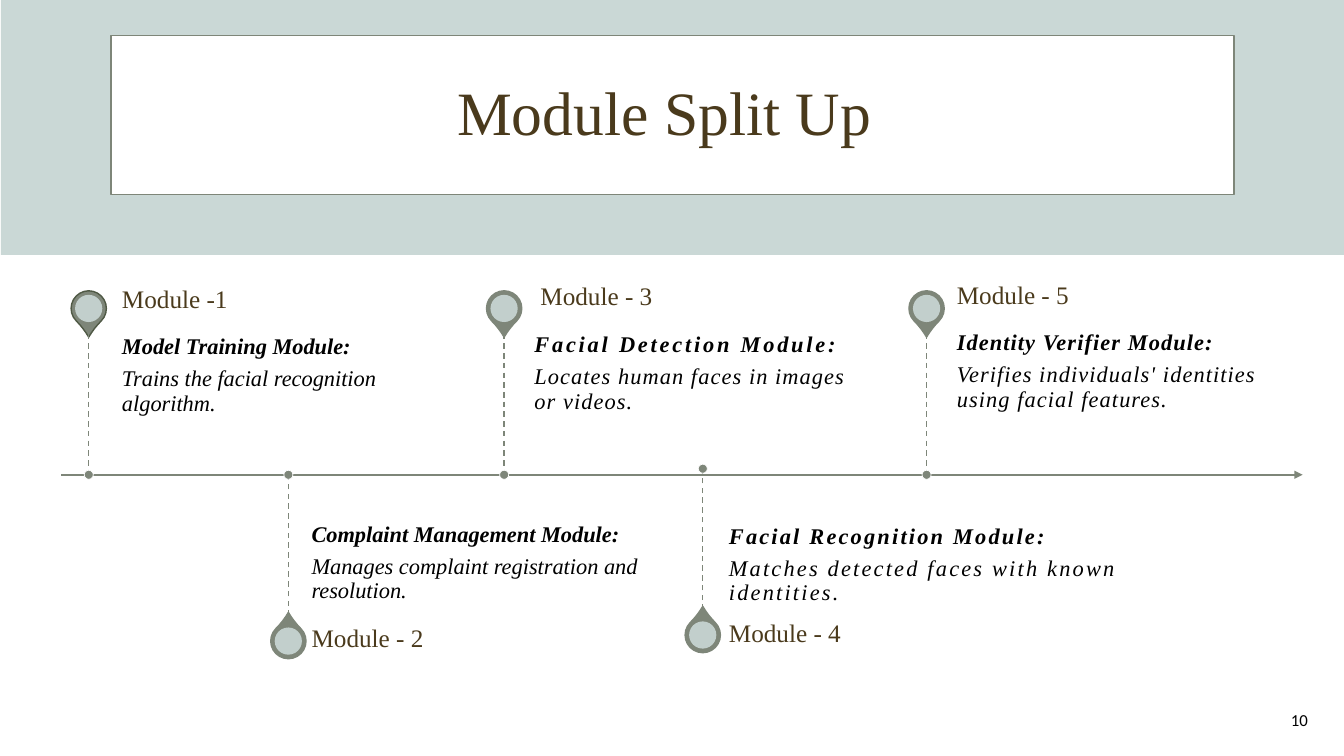
from lxml.etree import SubElement
from pptx import Presentation
from pptx.dml.color import RGBColor
from pptx.enum.dml import MSO_LINE
from pptx.enum.shapes import MSO_CONNECTOR, MSO_SHAPE as Kind
from pptx.enum.text import MSO_ANCHOR as Anchor, MSO_AUTO_SIZE as Fit, PP_ALIGN as Align
from pptx.oxml.ns import qn
from pptx.util import Inches, Pt

WHITE = RGBColor(0xFF, 0xFF, 0xFF)
BLACK = RGBColor(0, 0, 0)
MIST = RGBColor(0xCA, 0xD8, 0xD6)
SAGE = RGBColor(0x7E, 0x86, 0x79)
MOSS = RGBColor(0x4F, 0x59, 0x45)
BROWN = RGBColor(0x4A, 0x3A, 0x1C)
SERIF = "Times New Roman"
AXIS = 4.71
LABEL = dict(name=SERIF, size=Pt(18), color=BROWN)
HEAD = dict(name=SERIF, size=Pt(16), color=BLACK, bold=True, italic=True)
BODY = dict(HEAD, bold=False)

MODULES = [
    dict(x=0.88, up=True, dx=0.33, label_y=-1.98, body_y=-1.49, wide=3.29, edge=MOSS,
         label="Module -1", head="Model Training Module:",
         body="Trains the facial recognition algorithm."),
    dict(x=2.86, up=False, dx=0.23, label_y=1.39, body_y=-0.01, wide=3.97,
         label="Module - 2", head="Complaint Management Module:",
         body="Manages complaint registration and resolution."),
    dict(x=5, up=True, dx=0.3, label_y=-2.01, body_y=-1.51, wide=3.28, pad=0.06,
         label="Module - 3", head="Facial Detection Module:",
         body="Locates human faces in images or videos.", track=(2, 0.8)),
    dict(x=6.97, y=4.65, up=False, dx=0.26, label_y=1.4, body_y=0.07, wide=4.14,
         label="Module - 4", head="Facial Recognition Module:",
         body="Matches detected faces with known identities.", track=(1.6, 1.6)),
    dict(x=9.19, up=True, dx=0.3, label_y=-2.02, body_y=-1.53, wide=3.28,
         label="Module - 5", head="Identity Verifier Module:",
         body="Verifies individuals' identities using facial features.", track=(0.8, 0.8)),
]


def style(font, form):
    """Apply a dict of format values to a font."""
    for key, value in form.items():
        if key == "color":
            font.color.rgb = value
        else:
            setattr(font, key, value)


def shape(slide, kind, box, fill, edge=None, width=1):
    """Add a flat preset shape in a box of inches."""
    item = slide.shapes.add_shape(kind, *map(Inches, box))
    item.shadow.inherit = False
    item.fill.solid()
    item.fill.fore_color.rgb = fill
    if edge is None:
        item.line.fill.background()
    else:
        item.line.color.rgb = edge
        item.line.width = Pt(width)
    return item


def disc(slide, x, y, size, fill, edge=None, width=1):
    """Add a circle around a centre point."""
    box = (x - size / 2, y - size / 2, size, size)
    return shape(slide, Kind.OVAL, box, fill, edge, width)


def line(slide, start, end, width):
    """Add a straight sage line between two points."""
    item = slide.shapes.add_connector(MSO_CONNECTOR.STRAIGHT, *map(Inches, start + end))
    item.line.color.rgb = SAGE
    item.line.width = Pt(width)
    SubElement(item.element.spPr, qn("a:effectLst"))
    return item


def setup(frame, anchor, pads):
    """Set wrapping, anchor and insets of a text frame."""
    frame.word_wrap = True
    frame.auto_size = Fit.NONE
    frame.vertical_anchor = anchor
    for side, pad in zip(("left", "top", "right", "bottom"), pads):
        setattr(frame, "margin_" + side, Inches(pad))


def text(slide, box, rows, anchor, pads, align=Align.LEFT):
    """Add a text box with one paragraph for each row."""
    frame = slide.shapes.add_textbox(*map(Inches, box)).text_frame
    setup(frame, anchor, pads)
    for i, (words, form, track) in enumerate(rows):
        para = frame.add_paragraph() if i else frame.paragraphs[0]
        para.alignment = align
        para.line_spacing = 0.9
        para.space_after = Pt(5.6)
        run = para.add_run()
        run.text = words
        style(run.font, form)
        if track:
            run._r.get_or_add_rPr().set("spc", str(round(track * 100)))


def header(slide, x, y, wide, high):
    """Place the title on a white panel over the band."""
    title = slide.shapes.title
    band = shape(slide, Kind.RECTANGLE, (x, y, wide, high), MIST)
    panel = shape(slide, Kind.RECTANGLE, (x + 1.09, y + 0.35, 11.14, 1.58), WHITE, SAGE)
    for item in (band, panel):
        title.element.addprevious(item.element)
    place = dict(left=x + 0.33, top=y + 0.42, width=12.5, height=1.45)
    for key, value in place.items():
        setattr(title, key, Inches(value))
    title.text = "Module Split Up"
    setup(title.text_frame, Anchor.MIDDLE, (0.1, 0.05, 0.1, 0.05))
    para = title.text_frame.paragraphs[0]
    para.alignment = Align.CENTER
    para.line_spacing = 0.9
    style(para.runs[0].font, dict(name=SERIF, size=Pt(44), color=BROWN))


def pin(slide, x, y, up, edge):
    """Place a map pin that points at the axis."""
    drop = shape(slide, Kind.TEAR, (x - 0.175, y - 0.175, 0.35, 0.35), SAGE, edge)
    drop.adjustments[0] = 1.15
    drop.rotation = 135 if up else 315
    eye = disc(slide, x, y, 0.27, MIST)
    color = eye.element.spPr.find(qn("a:solidFill"))[0]
    SubElement(color, qn("a:alpha"), val="90000")


def module(slide, x, up, dx, label_y, body_y, wide, label, head, body,
           y=AXIS, pad=0, edge=SAGE, track=(0, 0)):
    """Place one module around its point on the axis."""
    way = -1 if up else 1
    pin(slide, x, y + way * 1.65, up, edge)
    rows = [(head, HEAD, track[0]), (body, BODY, track[1])]
    anchor = Anchor.TOP if up else Anchor.BOTTOM
    pads = (0, 0.11, 0.11, 0.17) if up else (0, 0.17, 0, 0.11)
    text(slide, (x + dx, y + body_y, wide, 1.4), rows, anchor, pads)
    text(slide, (x + dx, y + label_y, wide, 0.49), [(label, LABEL, 0)],
         Anchor.MIDDLE, (pad, 0, 0.12, 0))
    stem = line(slide, (x, y + way * 1.4), (x, y), 1)
    stem.line.dash_style = MSO_LINE.DASH
    disc(slide, x, y, 0.09, SAGE, WHITE, 0.5)


def timeline(slide, x, y, wide):
    """Place the arrow and all modules."""
    arrow = line(slide, (x, y), (x + wide, y), 1.5)
    SubElement(arrow.line._get_or_add_ln(), qn("a:tailEnd"), type="triangle")
    for part in MODULES:
        module(slide, **part)


def number(slide, box):
    """Place the slide number."""
    form = dict(name="Calibri", size=Pt(12), color=BLACK)
    text(slide, box, [("10", form, 0)], Anchor.MIDDLE, (0.1, 0.05, 0.1, 0.05), Align.RIGHT)


def main():
    """Build and save the slide."""
    deck = Presentation()
    deck.slide_width, deck.slide_height = Inches(13.33), Inches(7.5)
    slide = deck.slides.add_slide(deck.slide_layouts[5])
    header(slide, 0.01, 0, 13.32, 2.53)
    timeline(slide, 0.61, AXIS, 12.31)
    number(slide, (10.07, 6.95, 3, 0.4))
    deck.save("out.pptx")


if __name__ == "__main__":
    main()
